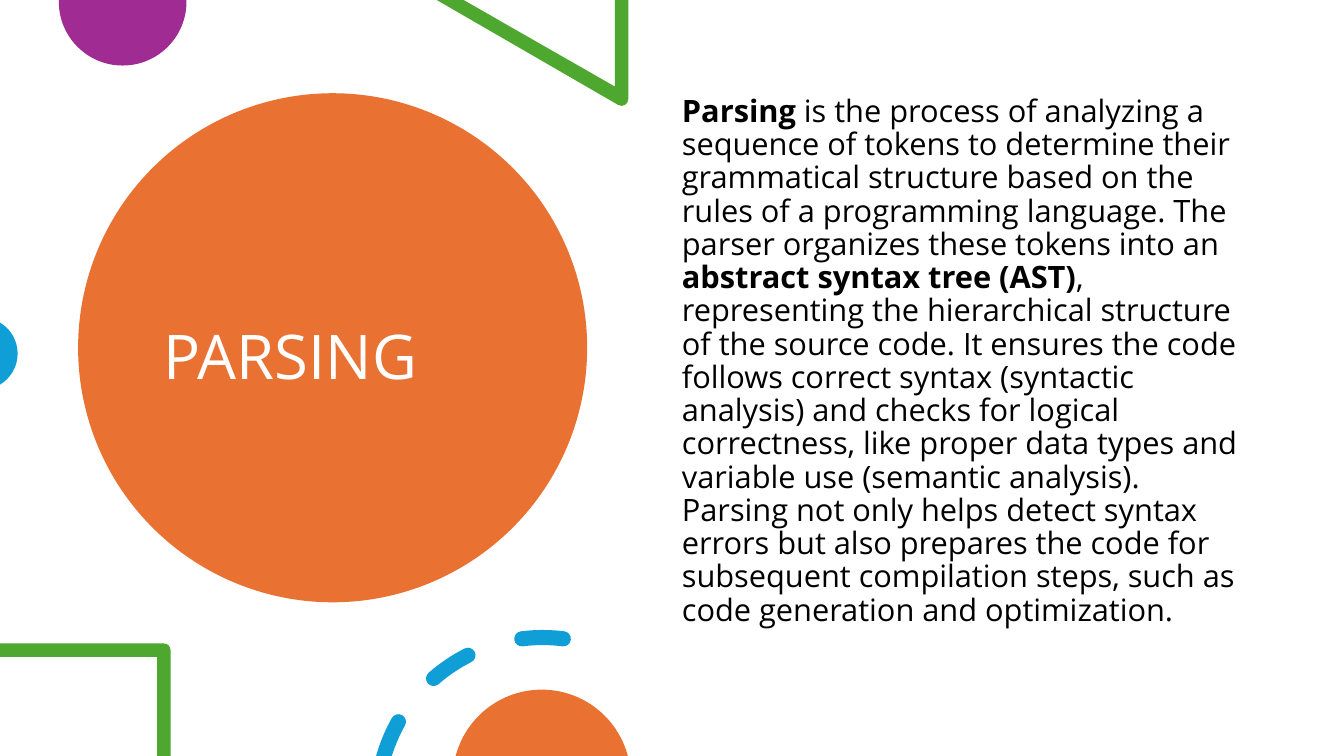
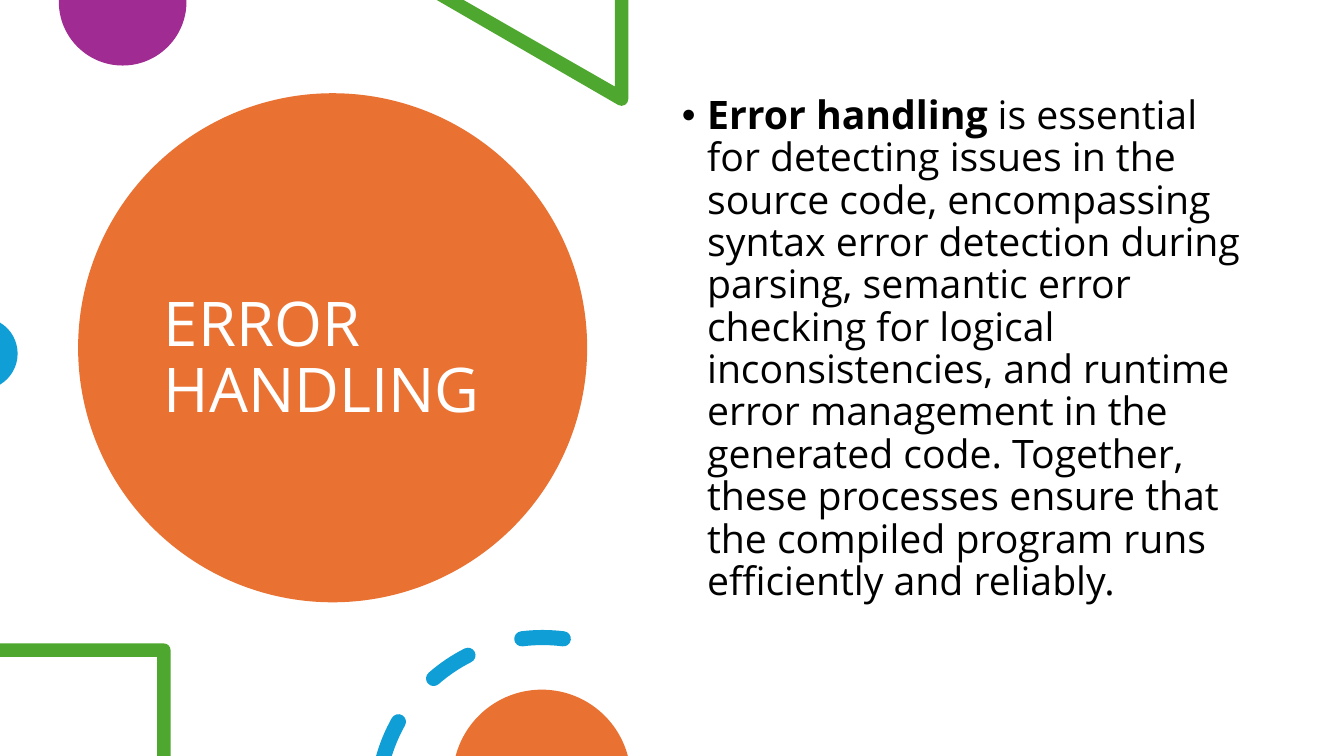
"""Build two slides on parsing and error handling with shared geometric decoration."""
import math

import lxml.etree
import pptx
import pptx.dml.color
import pptx.enum.shapes
import pptx.enum.text
import pptx.oxml.ns
import pptx.util

FONT = "Open Sans"
ORANGE, PURPLE, GREEN, BLUE = "E97132", "A02B93", "4EA72E", "0F9ED5"
WHITE, BLACK = "FFFFFF", "000000"
COLUMNS, ROWS = 16, 9


def color(hex_string):
    """Turn a hex string into a colour."""
    return pptx.dml.color.RGBColor.from_string(hex_string)


def arc(center_x, center_y, radius, start, end):
    """Return a start point, then one curve (two handles and an end) per quarter turn or less."""
    count = max(1, math.ceil(abs(end - start) / 90))
    step = math.radians(end - start) / count
    handle = radius * math.tan(step / 4) * 4 / 3
    knots = []
    for index in range(count + 1):
        angle = math.radians(start) + index * step
        x, y = center_x + radius * math.cos(angle), center_y + radius * math.sin(angle)
        knots.append((x, y, -handle * math.sin(angle), handle * math.cos(angle)))
    curves = [
        ((x1 + dx1, y1 + dy1), (x2 - dx2, y2 - dy2), (x2, y2))
        for (x1, y1, dx1, dy1), (x2, y2, dx2, dy2) in zip(knots, knots[1:])
    ]
    return [(knots[0][:2],)] + curves


presentation = pptx.Presentation()
presentation.slide_width = pptx.util.Inches(13.333)
presentation.slide_height = pptx.util.Inches(7.5)
column = presentation.slide_width / COLUMNS
row = presentation.slide_height / ROWS

CIRCLE_BOX = (0.93, 1.11, 6.06, 6.06)
TITLE_BOX = (1.83, 1.61, 4.25, 5.34)
BODY_BOX = (8, 1.08, 6.9, 6.42)
circle_place, title_place, body_place = [
    [round(share * unit) for share, unit in zip(box, (column, row, column, row))]
    for box in (CIRCLE_BOX, TITLE_BOX, BODY_BOX)
]

ring_x, ring_y, ring_radius, half_stroke = 6.46, 9.56, 1.97, 0.09
dashes = []
for outer_start, inner_start, end, rounded_start in [
    (195.8, 197.3, 209.4, False),
    (228.8, 228.8, 243.2, True),
    (262.8, 262.8, 277.2, True),
]:
    dash = arc(ring_x, ring_y, ring_radius + half_stroke, outer_start, end)
    end_x, end_y = arc(ring_x, ring_y, ring_radius, end, end)[0][0]
    dash += arc(end_x, end_y, half_stroke, end, end + 180)[1:]
    inner_edge = arc(ring_x, ring_y, ring_radius - half_stroke, end, inner_start)
    dash += inner_edge[1:]
    if rounded_start:
        start_x, start_y = arc(ring_x, ring_y, ring_radius, outer_start, outer_start)[0][0]
        dash += arc(start_x, start_y, half_stroke, outer_start + 180, outer_start + 360)[1:]
    dashes.append(dash)

triangle = [((x, y),) for x, y in [(7.48, 0), (7.32, 0), (7.32, 1.03), (5.52, 0), (5.2, 0)]]
triangle += arc(7.4, 1.18, 0.08, 120, 0)
frame = [((x, y),) for x, y in [(2.03, ROWS), (1.87, ROWS), (1.87, 7.82), (0, 7.82), (0, 7.66)]]
frame += arc(1.95, 7.74, 0.08, 270, 360)
decorations = [
    (PURPLE, [arc(1.46, 0.02, 0.76, 0, 180) + [((0.7, 0),), ((2.22, 0),)]]),
    (GREEN, [triangle]),
    (BLUE, [arc(-0.22, 4.21, 0.43, -59, 59)]),
    (GREEN, [frame]),
    (BLUE, dashes),
    (ORANGE, [arc(6.45, 9.27, 1.06, 194.8, 345.2)]),
]

slides = [
    ("PARSING", 22, False, [
        ("Parsing", True),
        (" is the process of analyzing a sequence of tokens to determine their grammatical structure "
         "based on the rules of a programming language. The parser organizes these tokens into an ", False),
        ("abstract syntax tree (AST)", True),
        (", representing the hierarchical structure of the source code. It ensures the code follows "
         "correct syntax (syntactic analysis) and checks for logical correctness, like proper data types "
         "and variable use (semantic analysis). Parsing not only helps detect syntax errors but also "
         "prepares the code for subsequent compilation steps, such as code generation and optimization.", False),
    ]),
    ("ERROR HANDLING", 28, True, [
        ("Error handling", True),
        (" is essential for detecting issues in the source code, encompassing syntax error detection "
         "during parsing, semantic error checking for logical inconsistencies, and runtime error management "
         "in the generated code. Together, these processes ensure that the compiled program runs "
         "efficiently and reliably.", False),
    ]),
]

for heading, body_size, bulleted, fragments in slides:
    slide = presentation.slides.add_slide(presentation.slide_layouts[5])
    title = slide.shapes.title
    title.left, title.top, title.width, title.height = title_place
    title.text_frame.text = heading
    title.text_frame.vertical_anchor = pptx.enum.text.MSO_ANCHOR.MIDDLE

    circle = slide.shapes.add_shape(pptx.enum.shapes.MSO_SHAPE.OVAL, *circle_place)
    title.element.addprevious(circle.element)
    painted = [(circle, ORANGE)]

    for fill, outlines in decorations:
        builder = None
        for outline in outlines:
            points = [(x * column, y * row) for segment in outline for x, y in segment]
            if builder is None:
                builder = slide.shapes.build_freeform(*points[0])
            else:
                builder.move_to(*points[0])
            builder.add_line_segments(points[1:], close=True)
        freeform = builder.convert_to_shape()
        painted.append((freeform, fill))

        lines = iter(list(freeform.element.iter(pptx.oxml.ns.qn("a:lnTo"))))
        for segment in [segment for outline in outlines for segment in outline[1:]]:
            pieces = [next(lines) for point in segment]
            if len(pieces) == 3:
                curve = lxml.etree.Element(pptx.oxml.ns.qn("a:cubicBezTo"))
                pieces[0].addprevious(curve)
                for piece in pieces:
                    curve.append(piece[0])
                    piece.getparent().remove(piece)

    for shape, fill in painted:
        shape.fill.solid()
        shape.fill.fore_color.rgb = color(fill)
        shape.line.fill.background()
        shape.shadow.inherit = False

    body = slide.shapes.add_textbox(*body_place)
    body_paragraph = body.text_frame.paragraphs[0]
    for text, bold in fragments:
        run = body_paragraph.add_run()
        run.text = text
        run.font.bold = bold

    for shape, size, text_color in [(title, 44, WHITE), (body, body_size, BLACK)]:
        shape.text_frame.word_wrap = True
        shape.text_frame.auto_size = pptx.enum.text.MSO_AUTO_SIZE.NONE
        paragraph = shape.text_frame.paragraphs[0]
        paragraph.alignment = pptx.enum.text.PP_ALIGN.LEFT
        paragraph.line_spacing = 0.9
        paragraph.font.name = FONT
        paragraph.font.size = pptx.util.Pt(size)
        paragraph.font.color.rgb = color(text_color)

    if bulleted:
        properties = body_paragraph.font._element.getparent()
        indent = pptx.util.Inches(0.25)
        properties.set("marL", str(indent))
        properties.set("indent", str(-indent))
        run_defaults = properties.find(pptx.oxml.ns.qn("a:defRPr"))
        for tag, attributes in [("a:buFont", {"typeface": "Arial"}), ("a:buChar", {"char": "•"})]:
            run_defaults.addprevious(lxml.etree.Element(pptx.oxml.ns.qn(tag), attributes))

presentation.save("out.pptx")
